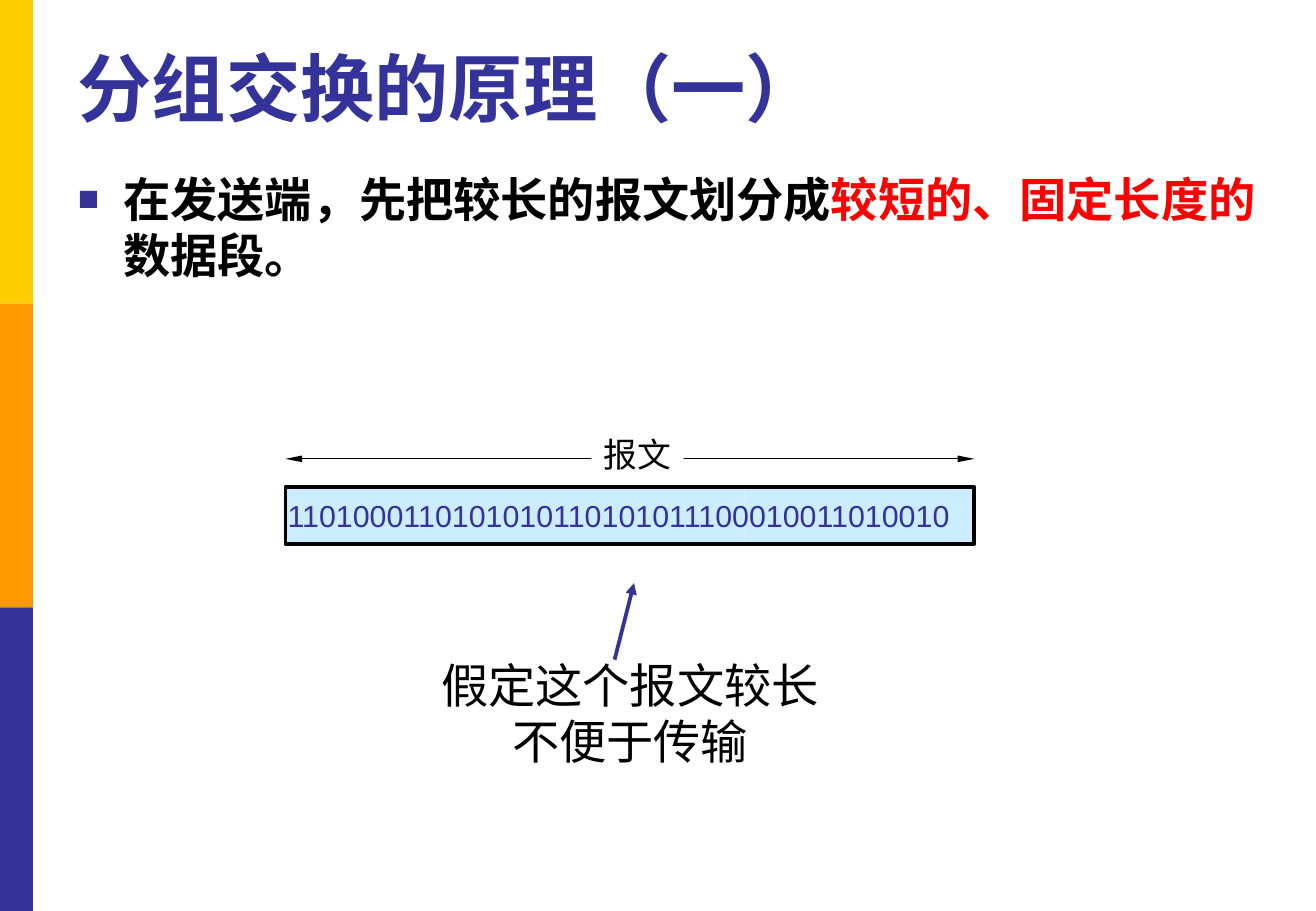
from pptx import Presentation
from pptx.dml.color import RGBColor
from pptx.enum.shapes import MSO_CONNECTOR as CONNECTOR, MSO_SHAPE as SHAPE
from pptx.enum.text import MSO_ANCHOR as ANCHOR, PP_ALIGN as ALIGN
from pptx.oxml.ns import qn
from pptx.util import Pt
from lxml.etree import SubElement

YELLOW = RGBColor(0xFF, 0xCC, 0x00)
ORANGE = RGBColor(0xFF, 0x99, 0x00)
INDIGO = RGBColor(0x33, 0x33, 0x99)
PALE_BLUE = RGBColor(0xCC, 0xEC, 0xFF)
WHITE = RGBColor(0xFF, 0xFF, 0xFF)
BLACK = RGBColor(0, 0, 0)
RED = RGBColor(0xFF, 0, 0)
CHINESE_FONT = "Noto Sans CJK SC"


def add_block(slide, left, top, width, height, fill=None, line=None):
    block = slide.shapes.add_shape(SHAPE.RECTANGLE, Pt(left), Pt(top), Pt(width), Pt(height))
    block.shadow.inherit = False
    if fill is None:
        block.fill.background()
    else:
        block.fill.solid()
        block.fill.fore_color.rgb = fill
    if line is None:
        block.line.fill.background()
    else:
        block.line.color.rgb = line
        block.line.width = Pt(2.25)
    return block


def add_text(slide, left, top, width, height, lines, size, font,
             bold=False, wrap=False, anchor=ANCHOR.TOP, align=ALIGN.LEFT, spacing=None):
    box = slide.shapes.add_textbox(Pt(left), Pt(top), Pt(width), Pt(height))
    frame = box.text_frame
    frame.word_wrap = wrap
    frame.vertical_anchor = anchor
    for index, pieces in enumerate(lines):
        paragraph = frame.add_paragraph() if index else frame.paragraphs[0]
        paragraph.alignment = align
        if spacing:
            paragraph.line_spacing = Pt(spacing)
        for words, color in pieces:
            run = paragraph.add_run()
            run.text = words
            run.font.size = Pt(size)
            run.font.bold = bold
            run.font.color.rgb = color
            run.font.name = font
            SubElement(run.font._element, qn("a:ea"), typeface=CHINESE_FONT)
    return box


def add_square_bullet(paragraph):
    properties = paragraph._p.get_or_add_pPr()
    properties.set("marL", str(Pt(27)))
    properties.set("indent", str(Pt(-27)))
    color = SubElement(properties, qn("a:buClr"))
    SubElement(color, qn("a:srgbClr"), val=str(INDIGO))
    SubElement(properties, qn("a:buSzPct"), val="75000")
    SubElement(properties, qn("a:buFont"), typeface="Arial")
    SubElement(properties, qn("a:buChar"), char="■")


def add_arrow(slide, start, end, color, width, ends, head_width="med", head_length="med"):
    arrow = slide.shapes.add_connector(
        CONNECTOR.STRAIGHT, Pt(start[0]), Pt(start[1]), Pt(end[0]), Pt(end[1]))
    arrow.line.color.rgb = color
    arrow.line.width = Pt(width)
    outline = arrow.line._get_or_add_ln()
    for end_tag in ends:
        SubElement(outline, qn(end_tag), type="triangle", w=head_width, len=head_length)
    SubElement(arrow._element.spPr, qn("a:effectLst"))


def add_message(slide):
    left, top, segment, height = 169.2, 288.7, 136.1, 33.8
    right = left + 3 * segment
    add_arrow(slide, (left, 272), (right, 272), BLACK, 0.75,
              ("a:headEnd", "a:tailEnd"), "sm", "lg")
    add_block(slide, 350.6, 253.4, 54.7, 31, WHITE)
    add_text(slide, 350.6, 253.4, 54.7, 31, [[("报文", BLACK)]], 20,
             "Times New Roman", anchor=ANCHOR.MIDDLE)
    for index in range(3):
        add_block(slide, left + index * segment, top, segment, height, PALE_BLUE)
    add_block(slide, left, top, 3 * segment, height, line=BLACK)
    bits = "1101000110101010110101011100010011010010"
    add_text(slide, 163.4, 290.9, 414.7, 28.8, [[(bits, INDIGO)]], 18, "Arial")


def main():
    presentation = Presentation()
    presentation.slide_width = Pt(780)
    presentation.slide_height = Pt(540)
    slide = presentation.slides.add_slide(presentation.slide_layouts[6])

    for index, color in enumerate((YELLOW, ORANGE, INDIGO)):
        add_block(slide, 0, index * 180, 19.5, 180, color)

    add_text(slide, 39, 19, 713.5, 62.6, [[("分组交换的原理（一）", INDIGO)]], 44,
             "Arial", bold=True, wrap=True, anchor=ANCHOR.BOTTOM)

    statement = [("在发送端，先把较长的报文划分成", BLACK),
                 ("较短的、固定长度的", RED), ("数据段。", BLACK)]
    body = add_text(slide, 39, 97.3, 713.5, 388.8, [statement], 28, CHINESE_FONT,
                    bold=True, wrap=True, spacing=33.5)
    add_square_bullet(body.text_frame.paragraphs[0])

    add_message(slide)
    add_text(slide, 254.2, 385.3, 238.3, 74.2,
             [[("假定这个报文较长", BLACK)], [("不便于传输", BLACK)]], 28, "Roboto",
             align=ALIGN.CENTER, spacing=33.5)
    add_arrow(slide, (364.3, 391), (375.8, 345.6), INDIGO, 2.25, ("a:tailEnd",))

    presentation.save("out.pptx")


if __name__ == "__main__":
    main()
